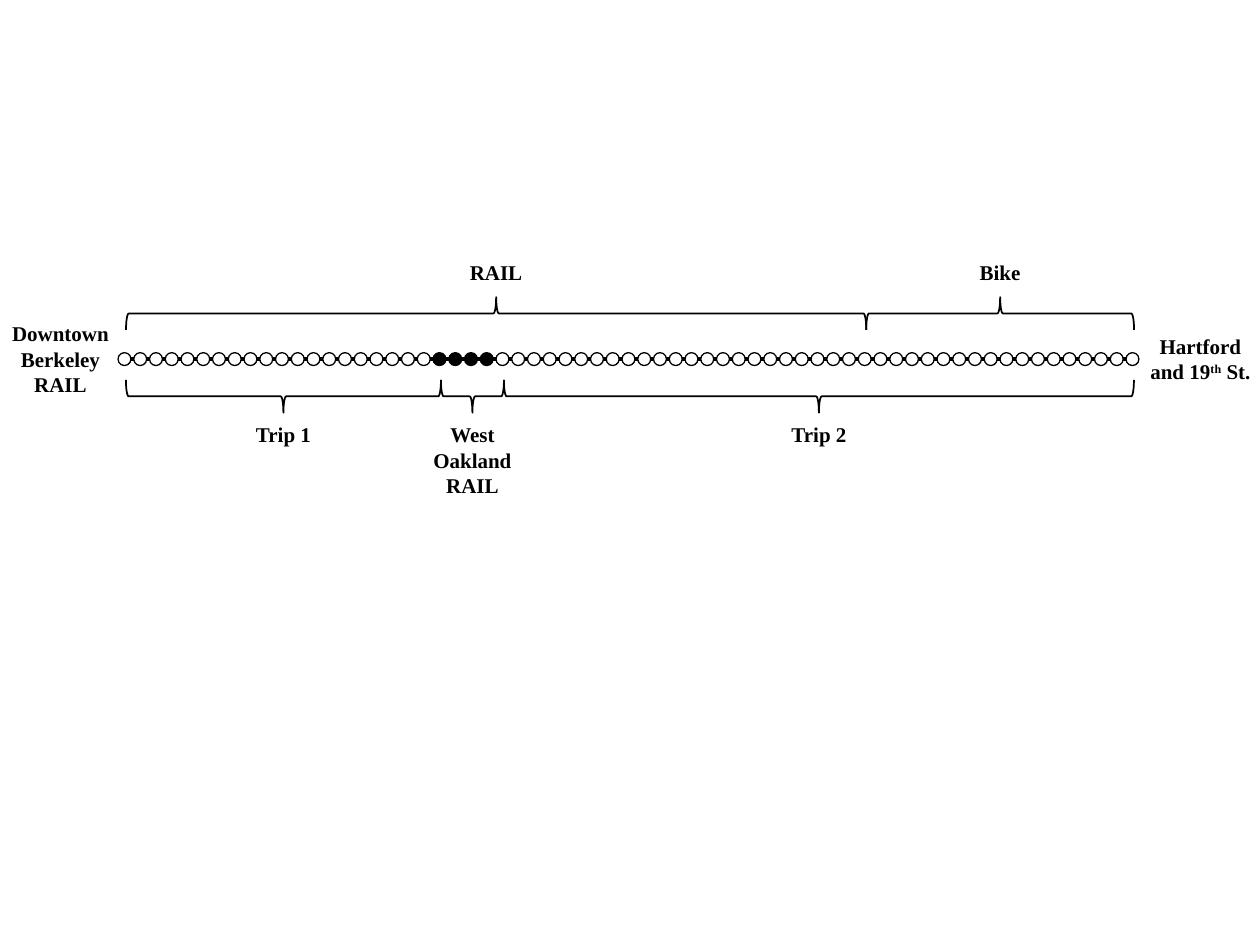
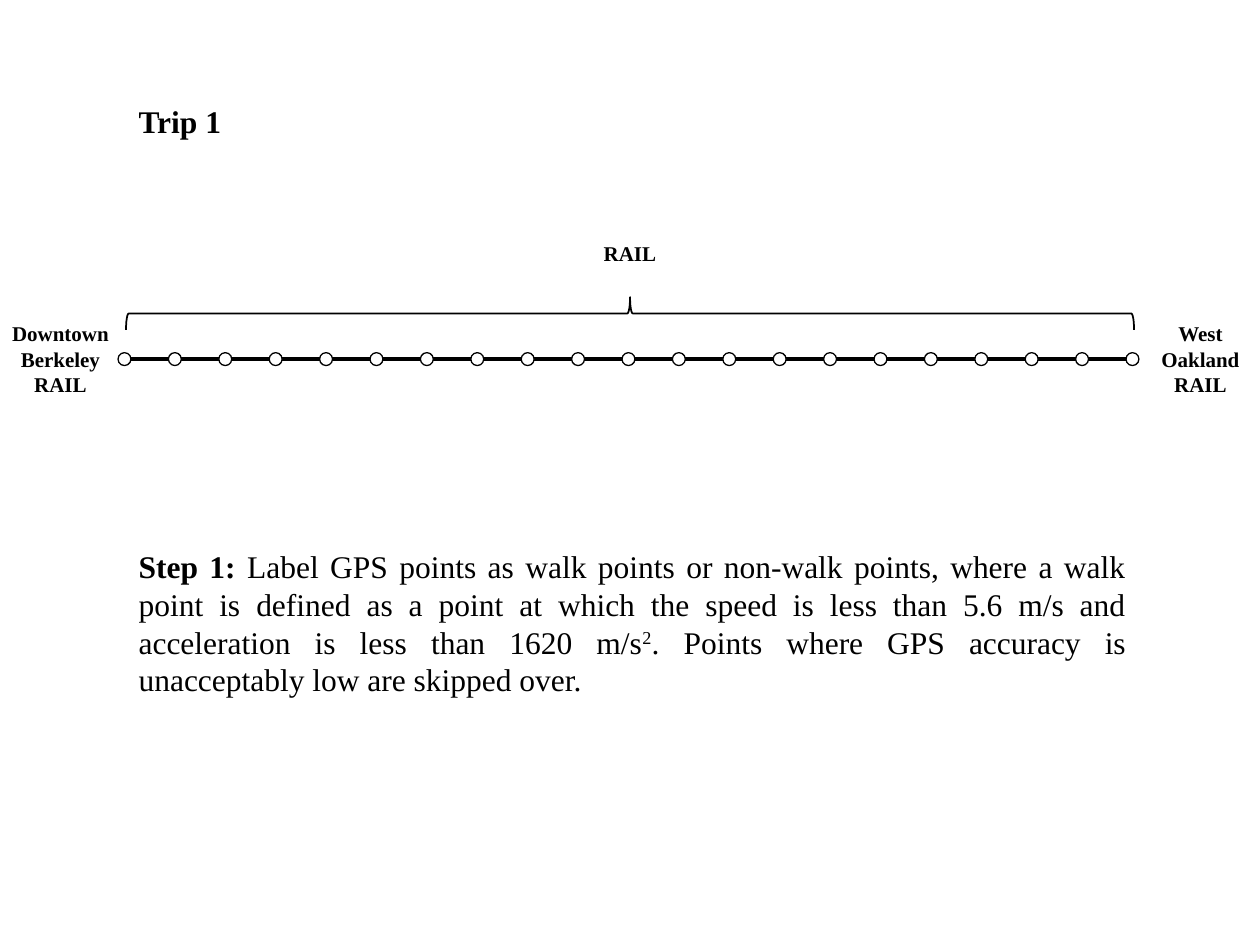
from dataclasses import dataclass

from lxml.etree import SubElement
from pptx import Presentation
from pptx.dml.color import RGBColor
from pptx.enum.shapes import MSO_CONNECTOR, MSO_SHAPE
from pptx.enum.text import MSO_ANCHOR, MSO_AUTO_SIZE, PP_ALIGN
from pptx.oxml.ns import qn
from pptx.util import Cm, Pt


@dataclass(frozen=True)
class Theme:
    ink: RGBColor = RGBColor(0x00, 0x00, 0x00)
    paper: RGBColor = RGBColor(0xFF, 0xFF, 0xFF)
    font: str = "Times New Roman"
    label_size: float = 12
    text_size: float = 18
    track_line: float = 2
    brace_line: float = 1
    point_line: float = 0.75


@dataclass(frozen=True)
class Span:
    text: str
    bold: bool | None = None
    raised: bool = False


@dataclass(frozen=True)
class Box:
    """Left, top, width and height in centimetres."""
    left: float
    top: float
    width: float
    height: float

    @property
    def lengths(self) -> tuple[Cm, Cm, Cm, Cm]:
        return Cm(self.left), Cm(self.top), Cm(self.width), Cm(self.height)


@dataclass(frozen=True)
class Brace:
    """A brace from one GPS point to another, with its label."""
    first: int
    last: int
    label: str
    above: bool
    label_top: float
    label_lines: int = 1


@dataclass(frozen=True)
class Track:
    """A row of evenly spaced GPS points; the stops are filled."""
    point_count: int
    stops: range = range(0)

    def centre(self, index: int) -> float:
        return TRACK_LEFT + TRACK_WIDTH * index / (self.point_count - 1)


THEME = Theme()
TRACK_LEFT, TRACK_WIDTH, TRACK_Y = 2.51, 20.32, 7.24
POINT_SIZE = 0.26
BRACE_DEPTH, BRACE_SHIFT = 0.66, 0.03
BRACE_ABOVE_Y, BRACE_BELOW_Y = 6.32, 7.99
BRACE_LABEL_WIDTH = 2.44
START_CENTRE, START_WIDTH = 1.22, 2.84
END_CENTRE, END_WIDTH = 24.2, 2.7
COLUMN_LEFT, COLUMN_WIDTH = 2.54, 20.42

Paragraphs = list[list[Span]]
START = [[Span("Downtown Berkeley RAIL")]]
HARTFORD = [[Span("Hartford")],
            [Span("and 19"), Span("th", raised=True), Span(" St.")]]
WEST_OAKLAND = "West Oakland RAIL"
STEP = [[
    Span("Step 1: ", bold=True),
    Span("Label GPS points as walk points or non-walk points, where a walk "
         "point is defined as a point at which the speed is less than 5.6 m/s "
         "and acceleration is less than 1620 m/s"),
    Span("2", raised=True),
    Span(". Points where GPS accuracy is unacceptably low are skipped over."),
]]


def write(frame, paragraphs: Paragraphs, size: float, align: PP_ALIGN,
          bold: bool) -> None:
    frame.word_wrap = True
    frame.vertical_anchor = MSO_ANCHOR.TOP
    for index, spans in enumerate(paragraphs):
        para = frame.add_paragraph() if index else frame.paragraphs[0]
        para.alignment = align
        para.space_before = Pt(0)
        para.font.name = THEME.font
        para.font.size = Pt(size)
        para.font.bold = bold
        para.font.color.rgb = THEME.ink
        for span in spans:
            run = para.add_run()
            run.text = span.text
            if span.bold is not None:
                run.font.bold = span.bold
            if span.raised:
                run._r.get_or_add_rPr().set("baseline", "30000")


def add_label(page, paragraphs: Paragraphs, centre: float, top: float,
              width: float, lines: int) -> None:
    box = Box(centre - width / 2, top, width, label_height(lines))
    frame = page.shapes.add_textbox(*box.lengths).text_frame
    write(frame, paragraphs, THEME.label_size, PP_ALIGN.CENTER, bold=True)
    frame.auto_size = MSO_AUTO_SIZE.SHAPE_TO_FIT_TEXT


def label_height(lines: int) -> float:
    return 0.26 + 0.51 * lines


def add_end_label(page, paragraphs: Paragraphs, centre: float, width: float,
                  lines: int) -> None:
    """Label an end of the track, centred on its height."""
    top = TRACK_Y - label_height(lines) / 2
    add_label(page, paragraphs, centre, top, width, lines)


def add_outlined(page, kind: MSO_SHAPE, box: Box, line_width: float):
    shape = page.shapes.add_shape(kind, *box.lengths)
    shape.shadow.inherit = False
    shape.line.color.rgb = THEME.ink
    shape.line.width = Pt(line_width)
    return shape


def add_track(page, track: Track) -> None:
    line = page.shapes.add_connector(
        MSO_CONNECTOR.STRAIGHT, Cm(TRACK_LEFT), Cm(TRACK_Y),
        Cm(TRACK_LEFT + TRACK_WIDTH), Cm(TRACK_Y))
    line.line.color.rgb = THEME.ink
    line.line.width = Pt(THEME.track_line)
    SubElement(line._element.spPr, qn("a:effectLst"))
    for index in range(track.point_count):
        box = Box(track.centre(index) - POINT_SIZE / 2,
                  TRACK_Y - POINT_SIZE / 2, POINT_SIZE, POINT_SIZE)
        point = add_outlined(page, MSO_SHAPE.OVAL, box, THEME.point_line)
        point.fill.solid()
        point.fill.fore_color.rgb = (
            THEME.ink if index in track.stops else THEME.paper)


def add_brace(page, track: Track, brace: Brace) -> None:
    first, last = track.centre(brace.first), track.centre(brace.last)
    span, middle = last - first, (first + last) / 2 + BRACE_SHIFT
    centre_y = BRACE_ABOVE_Y if brace.above else BRACE_BELOW_Y
    box = Box(middle - BRACE_DEPTH / 2, centre_y - span / 2, BRACE_DEPTH, span)
    shape = add_outlined(page, MSO_SHAPE.LEFT_BRACE, box, THEME.brace_line)
    shape.fill.background()
    shape.rotation = 90 if brace.above else 270
    add_label(page, [[Span(brace.label)]], middle, brace.label_top,
              BRACE_LABEL_WIDTH, brace.label_lines)


def draw_trip(page, track: Track, braces: list[Brace], end: Paragraphs,
              end_lines: int) -> None:
    add_track(page, track)
    add_end_label(page, START, START_CENTRE, START_WIDTH, lines=3)
    add_end_label(page, end, END_CENTRE, END_WIDTH, end_lines)
    for brace in braces:
        add_brace(page, track, brace)


def fill_placeholder(holder, box: Box, paragraphs: Paragraphs,
                     bold: bool) -> None:
    holder.left, holder.top, holder.width, holder.height = box.lengths
    frame = holder.text_frame
    write(frame, paragraphs, THEME.text_size, PP_ALIGN.JUSTIFY, bold)
    frame.auto_size = MSO_AUTO_SIZE.NONE
    for para in frame.paragraphs:
        properties = para._p.get_or_add_pPr()
        properties.set("marL", "0")
        properties.set("indent", "0")
        bullet = SubElement(properties, qn("a:buNone"))
        properties.find(qn("a:defRPr")).addprevious(bullet)


def build_overview(deck) -> None:
    page = deck.slides.add_slide(deck.slide_layouts.get_by_name("Blank"))
    track = Track(65, stops=range(20, 24))
    braces = [
        Brace(0, 47, "RAIL", above=True, label_top=5.11),
        Brace(47, 64, "Bike", above=True, label_top=5.11),
        Brace(0, 20, "Trip 1", above=False, label_top=8.38),
        Brace(20, 24, WEST_OAKLAND, above=False, label_top=8.38,
              label_lines=3),
        Brace(24, 64, "Trip 2", above=False, label_top=8.38),
    ]
    draw_trip(page, track, braces, HARTFORD, end_lines=2)


def build_first_trip(deck) -> None:
    page = deck.slides.add_slide(
        deck.slide_layouts.get_by_name("Title and Content"))
    fill_placeholder(page.shapes.title,
                     Box(COLUMN_LEFT, 1.93, COLUMN_WIDTH, 1.03),
                     [[Span("Trip 1")]], bold=True)
    fill_placeholder(page.placeholders[1],
                     Box(COLUMN_LEFT, 10.9, COLUMN_WIDTH, 3.33),
                     STEP, bold=False)
    braces = [Brace(0, 20, "RAIL", above=True, label_top=4.72)]
    draw_trip(page, Track(21), braces, [[Span(WEST_OAKLAND)]], end_lines=3)


def main() -> None:
    deck = Presentation()
    deck.slide_width, deck.slide_height = Cm(25.4), Cm(19.05)
    build_overview(deck)
    build_first_trip(deck)
    deck.save("out.pptx")


if __name__ == "__main__":
    main()
